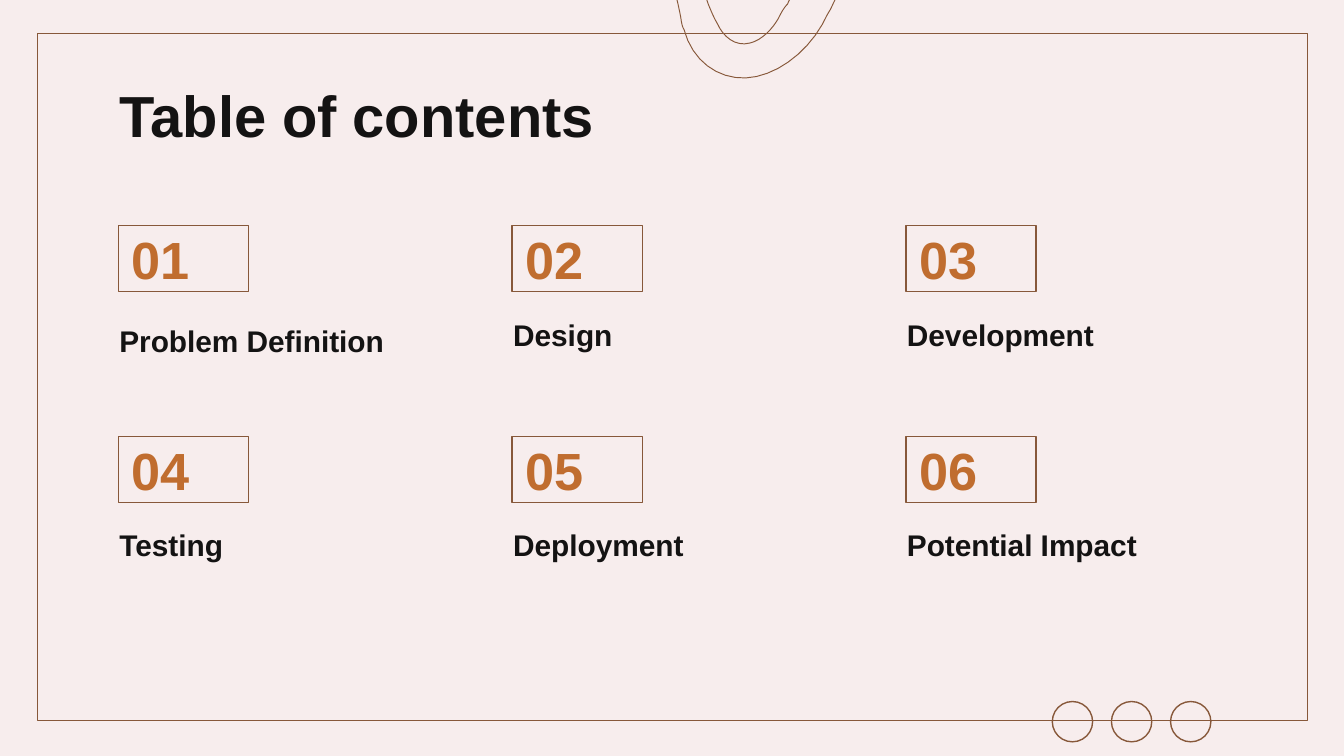
import pptx
import pptx.dml.color
import pptx.enum.shapes
import pptx.enum.text
import pptx.util

THEME = {
    "background": "F7EDED", "line": "87583A", "ink": "141313", "accent": "C06D2F",
    "font": "Arial", "title": 31, "number": 28, "label": 16, "stroke": 0.75, "curve": 0.5,
}
WIDTH = 10
HEIGHT = WIDTH * 9 / 16
COLUMN, ROW = 2.93, 1.57
GRID_LEFT, GRID_TOP = 0.88, 1.68
TEXT_LEFT = 0.79
INSET = 0.1
TOPICS = ["Problem Definition", "Design", "Development",
          "Testing", "Deployment", "Potential Impact"]
# Start point, then control, control, end for every cubic segment
LOOPS = [
    [(5.2, -0.13), (5.23, -0.08), (5.25, -0.03), (5.27, 0.03),
     (5.29, 0.08), (5.31, 0.13), (5.34, 0.18),
     (5.38, 0.27), (5.47, 0.35), (5.58, 0.32),
     (5.67, 0.3), (5.75, 0.21), (5.79, 0.14),
     (5.81, 0.1), (5.83, 0.06), (5.86, 0.03),
     (5.88, -0.02), (5.91, -0.07), (5.95, -0.12)],
    [(4.96, -0.16), (5.02, -0.1), (5.04, 0), (5.06, 0.1),
     (5.07, 0.14), (5.07, 0.19), (5.09, 0.22),
     (5.15, 0.45), (5.34, 0.59), (5.55, 0.58),
     (5.76, 0.57), (5.99, 0.41), (6.12, 0.18),
     (6.14, 0.14), (6.16, 0.1), (6.18, 0.07),
     (6.23, -0.04), (6.28, -0.14), (6.36, -0.2)],
]
STEPS = 8


def outline(shape, weight):
    """Leave the shape unfilled, with a plain line in the theme colour."""
    shape.shadow.inherit = False
    shape.fill.background()
    shape.line.color.rgb = pptx.dml.color.RGBColor.from_string(THEME["line"])
    shape.line.width = pptx.util.Pt(weight)


def write(shape, text, size, color, anchor):
    frame = shape.text_frame
    frame.text = text
    inset = pptx.util.Inches(INSET)
    frame_format = {
        "word_wrap": True, "auto_size": pptx.enum.text.MSO_AUTO_SIZE.NONE,
        "vertical_anchor": anchor, "margin_left": inset, "margin_right": inset,
        "margin_top": inset, "margin_bottom": inset,
    }
    for name, value in frame_format.items():
        setattr(frame, name, value)
    paragraph = frame.paragraphs[0]
    paragraph.alignment = pptx.enum.text.PP_ALIGN.LEFT
    font = paragraph.runs[0].font
    font_format = {"name": THEME["font"], "size": pptx.util.Pt(THEME[size]), "bold": True}
    for name, value in font_format.items():
        setattr(font, name, value)
    font.color.rgb = pptx.dml.color.RGBColor.from_string(THEME[color])


inches = pptx.util.Inches
kinds = pptx.enum.shapes.MSO_SHAPE
anchors = pptx.enum.text.MSO_ANCHOR

presentation = pptx.Presentation()
presentation.slide_width = inches(WIDTH)
presentation.slide_height = inches(HEIGHT)
slide = presentation.slides.add_slide(presentation.slide_layouts[5])
slide.background.fill.solid()
slide.background.fill.fore_color.rgb = pptx.dml.color.RGBColor.from_string(THEME["background"])

# Frame, circles on its lower edge, loops hanging from the top
border = slide.shapes.add_shape(
    kinds.RECTANGLE, inches(0.28), inches(0.25), inches(9.45), inches(5.11))
outline(border, THEME["stroke"])

for index in range(3):
    circle = slide.shapes.add_shape(
        kinds.OVAL, inches(7.83 + index * 0.44), inches(5.22), inches(0.3), inches(0.3))
    outline(circle, THEME["stroke"])

for loop in LOOPS:
    points = []
    for first in range(0, len(loop) - 1, 3):
        segment = loop[first:first + 4]
        for step in range(1, STEPS + 1):
            t = step / STEPS
            weights = ((1 - t) ** 3, 3 * t * (1 - t) ** 2, 3 * t ** 2 * (1 - t), t ** 3)
            points.append(tuple(
                inches(sum(weight * point[axis] for weight, point in zip(weights, segment)))
                for axis in (0, 1)))
    start_x, start_y = loop[0]
    builder = slide.shapes.build_freeform(inches(start_x), inches(start_y))
    builder.add_line_segments(points, close=False)
    outline(builder.convert_to_shape(), THEME["curve"])

title = slide.shapes.title
title_format = {"left": inches(TEXT_LEFT), "top": inches(0.49),
                "width": inches(8.43), "height": inches(0.63)}
for name, value in title_format.items():
    setattr(title, name, value)
write(title, "Table of contents", "title", "ink", anchors.TOP)

# Three columns by two rows of numbered topics
for index, topic in enumerate(TOPICS):
    row, column = divmod(index, 3)
    across = column * COLUMN
    top = GRID_TOP + row * ROW

    number = slide.shapes.add_shape(
        kinds.RECTANGLE, inches(GRID_LEFT + across), inches(top), inches(0.97), inches(0.49))
    outline(number, THEME["stroke"])
    write(number, f"{index + 1:02}", "number", "accent", anchors.MIDDLE)

    drop = 0.62 if index == 0 else 0.58 - row * 0.01
    label = slide.shapes.add_textbox(
        inches(TEXT_LEFT + across), inches(top + drop), inches(2.57), inches(0.7))
    write(label, topic, "label", "ink", anchors.TOP)

presentation.save("out.pptx")
